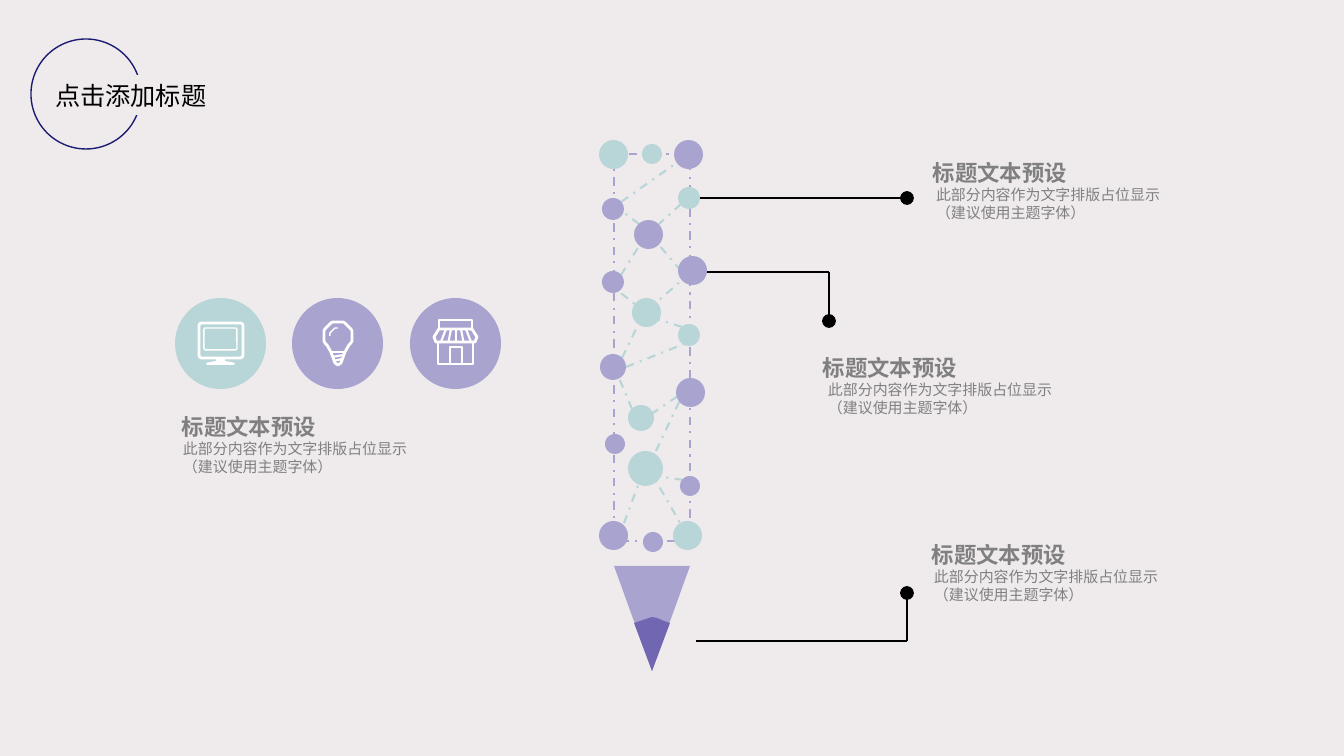
import math

import lxml.etree
import pptx
import pptx.dml.color
import pptx.enum.dml
import pptx.enum.shapes
import pptx.enum.text
import pptx.oxml.ns
import pptx.util

SCALE = 914400 / 100.8
FONT = "Noto Sans CJK SC"
PAPER, NAVY, BLACK, GRAY, WHITE = "EFEBEC", "1C1C73", "000000", "808080", "FFFFFF"
LILAC, TEAL, VIOLET = "A9A3D0", "B8D5D7", "7066B1"
SHAPES = pptx.enum.shapes.MSO_SHAPE
DASH_DOT = pptx.enum.dml.MSO_LINE.DASH_DOT
HEADING = "标题文本预设"
DESCRIPTION = "此部分内容作为文字排版占位显示\v（建议使用主题字体）"

FRAME_LINKS = [
    (685, 157, 621, 202), (681, 204, 659, 224), (681, 271, 659, 245), (639, 224, 614, 205),
    (621, 275, 644, 238), (682, 327, 647, 316), (622, 358, 642, 317), (646, 313, 612, 286),
    (649, 309, 690, 273), (626, 367, 694, 340), (632, 409, 617, 373), (632, 427, 687, 390),
    (683, 480, 650, 475), (643, 472, 620, 534), (687, 535, 656, 481), (646, 472, 681, 398),
]
NODES = {
    LILAC: [(643, 532, 20), (674, 140, 29), (602, 198, 22), (599, 521, 29), (634, 220, 29),
            (600, 354, 26), (602, 271, 22), (676, 378, 29), (678, 256, 29), (680, 476, 20),
            (605, 434, 20)],
    TEAL: [(599, 140, 29), (678, 187, 22), (642, 144, 20), (673, 521, 29), (678, 324, 22),
           (628, 451, 35), (628, 405, 26), (632, 298, 29)],
}
LEADERS = [
    [(696, 641), (907, 641), (907, 593)],
    [(694, 198), (907, 198)],
    [(700, 272), (829, 272), (829, 321)],
]
CAPTIONS = [(182, 183, 413), (933, 936, 159), (823, 828, 354), (932, 934, 541)]


def px(length):
    return round(length * SCALE)


def color(value):
    return pptx.dml.color.RGBColor.from_string(value)


def set_values(target, values):
    for name, value in values.items():
        setattr(target, name, value)


def style_line(line, stroke, weight, dash=None):
    line.color.rgb = color(stroke)
    set_values(line, {"width": pptx.util.Pt(weight), "dash_style": dash})


def style_shape(shape, fill=None, stroke=None, weight=1, dash=None):
    shape.shadow.inherit = False
    if fill:
        shape.fill.solid()
        shape.fill.fore_color.rgb = color(fill)
    else:
        shape.fill.background()
    if stroke:
        style_line(shape.line, stroke, weight, dash)
    else:
        shape.line.fill.background()
    return shape


def add_preset(slide, kind, left, top, width, height, **style):
    shape = slide.shapes.add_shape(kind, px(left), px(top), px(width), px(height))
    return style_shape(shape, **style)


def add_outline(slide, points, closed=True, **style):
    builder = slide.shapes.build_freeform(*points[0], scale=SCALE)
    builder.add_line_segments(points[1:], close=closed)
    return style_shape(builder.convert_to_shape(), **style)


def add_line(slide, start, end, stroke, weight, dash=None, dot=False):
    connector = slide.shapes.add_connector(
        pptx.enum.shapes.MSO_CONNECTOR.STRAIGHT, *map(px, start + end))
    style_line(connector.line, stroke, weight, dash)
    properties = connector.element.spPr
    if dot:
        line = properties.find(pptx.oxml.ns.qn("a:ln"))
        lxml.etree.SubElement(line, pptx.oxml.ns.qn("a:tailEnd"), type="oval", w="lg", len="lg")
    lxml.etree.SubElement(properties, pptx.oxml.ns.qn("a:effectLst"))


def write_text(shape, text, size, text_color, bold=False, inset=0, middle=False):
    anchors = pptx.enum.text.MSO_ANCHOR
    frame = shape.text_frame
    frame.text = text
    set_values(frame, {
        "word_wrap": True,
        "auto_size": pptx.enum.text.MSO_AUTO_SIZE.NONE,
        "vertical_anchor": anchors.MIDDLE if middle else anchors.TOP,
        "margin_left": px(inset), "margin_right": 0, "margin_top": 0, "margin_bottom": 0,
    })
    paragraph = frame.paragraphs[0]
    set_values(paragraph, {"alignment": pptx.enum.text.PP_ALIGN.LEFT, "line_spacing": 1.0})
    for run in paragraph.runs:
        set_values(run.font, {"size": pptx.util.Pt(size), "bold": bold, "name": FONT})
        run.font.color.rgb = color(text_color)
    for properties in shape.element.iter(pptx.oxml.ns.qn("a:rPr")):
        lxml.etree.SubElement(properties, pptx.oxml.ns.qn("a:ea"), typeface=FONT)


def add_title(slide):
    circle = add_preset(slide, SHAPES.OVAL, 31, 39, 110, 110, stroke=NAVY)
    title = slide.shapes.title
    set_values(title, {"left": px(45), "top": px(75), "width": px(173), "height": px(40)})
    title.fill.solid()
    title.fill.fore_color.rgb = color(PAPER)
    write_text(title, "点击添加标题", 18, BLACK, inset=10, middle=True)
    title.element.addprevious(circle.element)


def add_caption(slide, heading_left, description_left, top):
    heading = slide.shapes.add_textbox(px(heading_left), px(top), px(330), px(27))
    write_text(heading, HEADING, 16, GRAY, bold=True, middle=True)
    description = slide.shapes.add_textbox(px(description_left), px(top + 27), px(330), px(58))
    write_text(description, DESCRIPTION, 10.7, GRAY)


def arc_points(center_x, center_y, radius, first, last):
    angles = [math.radians(angle) for angle in range(first, last + 1, 10)]
    return [(round(center_x + radius * math.cos(angle), 2),
             round(center_y + radius * math.sin(angle), 2)) for angle in angles]


def add_monitor(slide):
    screen = add_preset(slide, SHAPES.ROUNDED_RECTANGLE, 199, 323, 44, 35, stroke=WHITE, weight=2)
    glass = add_preset(slide, SHAPES.ROUNDED_RECTANGLE, 204, 328, 33, 22, stroke=WHITE)
    screen.adjustments[0] = glass.adjustments[0] = 0.08
    add_outline(slide, [(216, 358), (225, 358), (225, 361), (235, 363), (234, 365),
                        (207, 365), (206, 363), (216, 361)], fill=WHITE)


def add_bulb(slide):
    glass = arc_points(338, 336, 14.5, 140, 400)
    base = [(345, 352), (341, 363), (338, 365), (335, 363), (331, 352)]
    add_outline(slide, glass + base, stroke=WHITE, weight=2)
    add_outline(slide, arc_points(338, 336, 8, 180, 270), closed=False, stroke=WHITE)
    for start, end in [((331, 352), (345, 352)), ((332, 357), (344, 355)), ((333, 361), (342, 359))]:
        add_line(slide, start, end, WHITE, 1.5)


def add_store(slide):
    add_preset(slide, SHAPES.RECTANGLE, 439, 320, 33, 9, stroke=WHITE, weight=2)
    add_outline(slide, [(439, 329), (472, 329), (477, 337), (475, 342), (436, 342), (434, 337)],
                stroke=WHITE, weight=2)
    for step in range(-2, 3):
        add_line(slide, (456 + 5 * step, 329), (456 + 7.5 * step, 342), WHITE, 1.5)
    add_preset(slide, SHAPES.RECTANGLE, 438, 342, 35, 22, stroke=WHITE, weight=2)
    add_preset(slide, SHAPES.RECTANGLE, 450, 347, 12, 17, stroke=WHITE)


def add_icons(slide):
    badges = [(175, TEAL, add_monitor), (292, LILAC, add_bulb), (410, LILAC, add_store)]
    for left, fill, add_icon in badges:
        add_preset(slide, SHAPES.OVAL, left, 298, 91, 91, fill=fill)
        add_icon(slide)


def add_leader(slide, points):
    for index in range(1, len(points)):
        add_line(slide, points[index - 1], points[index], BLACK, 1.5, dot=index == len(points) - 1)


def add_pencil(slide):
    add_preset(slide, SHAPES.RECTANGLE, 614, 154, 76, 387, stroke=LILAC, weight=1.5, dash=DASH_DOT)
    point = add_preset(slide, SHAPES.ISOSCELES_TRIANGLE, 614, 566, 76, 105, fill=LILAC)
    point.rotation = 180
    add_outline(slide, [(634, 623), (652, 671), (670, 623), (664, 621), (657, 618), (652, 617)],
                fill=VIOLET)
    for link in FRAME_LINKS:
        add_line(slide, link[:2], link[2:], TEAL, 1.5, dash=DASH_DOT)
    for fill, nodes in NODES.items():
        for left, top, size in nodes:
            add_preset(slide, SHAPES.OVAL, left, top, size, size, fill=fill)


def main():
    presentation = pptx.Presentation()
    set_values(presentation, {"slide_width": px(1344), "slide_height": px(756)})
    slide = presentation.slides.add_slide(presentation.slide_layouts[5])
    slide.background.fill.solid()
    slide.background.fill.fore_color.rgb = color(PAPER)
    add_title(slide)
    for points in LEADERS:
        add_leader(slide, points)
    add_icons(slide)
    add_pencil(slide)
    for caption in CAPTIONS:
        add_caption(slide, *caption)
    presentation.save("out.pptx")


main()
